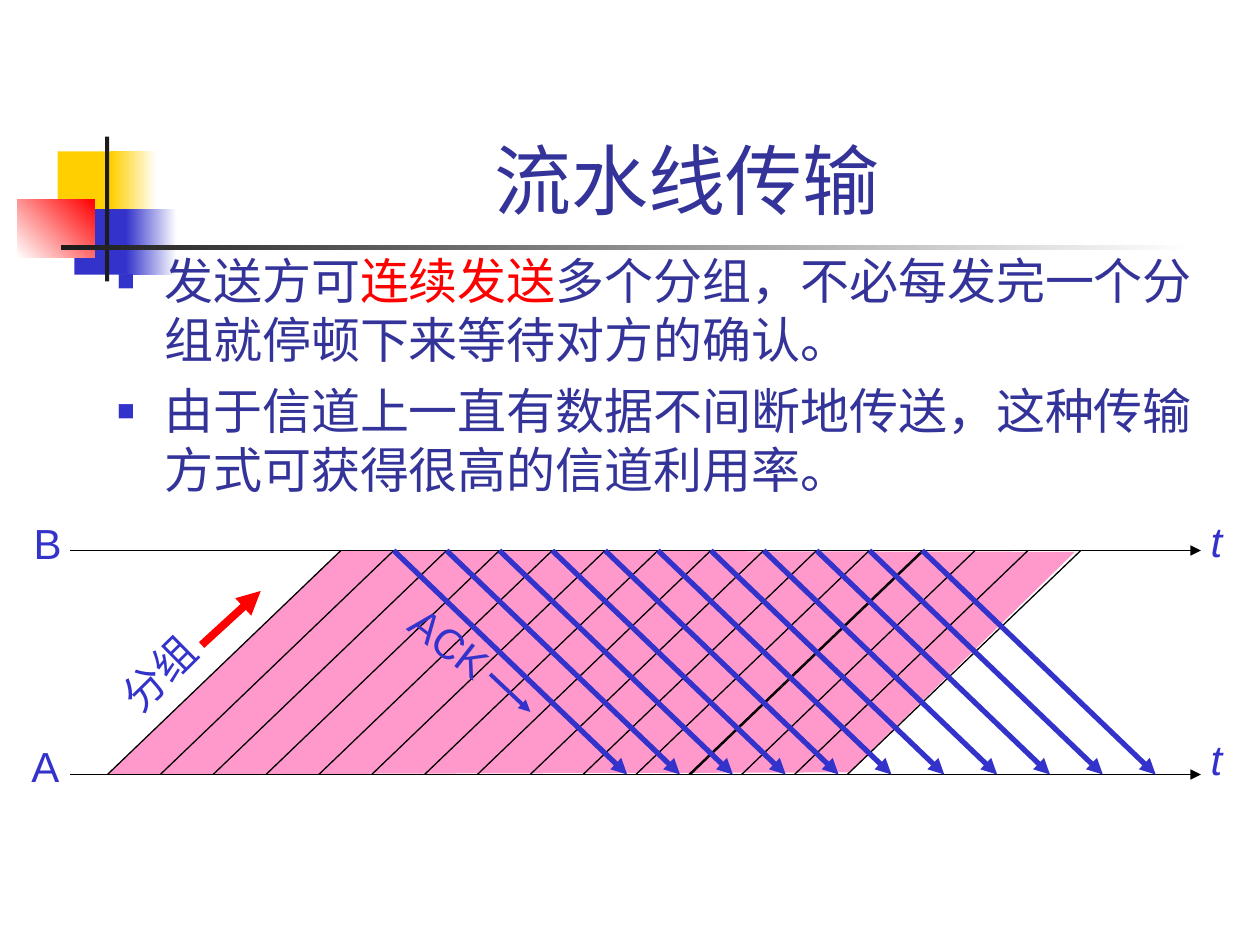
import pptx
import pptx.util
import pptx.dml.color
import pptx.enum.shapes
import pptx.enum.text
import pptx.oxml
import pptx.oxml.ns
import lxml.etree as etree

Pt = pptx.util.Pt
RGB = pptx.dml.color.RGBColor
Align = pptx.enum.text.PP_ALIGN
Anchor = pptx.enum.text.MSO_ANCHOR
qn = pptx.oxml.ns.qn

BLACK = RGB(0x00, 0x00, 0x00)
WHITE = RGB(0xFF, 0xFF, 0xFF)
INK = RGB(0x1C, 0x1C, 0x1C)
GOLD = RGB(0xFF, 0xCF, 0x01)
BLUE = RGB(0x33, 0x33, 0xCC)
NAVY = RGB(0x33, 0x33, 0x99)
RED = RGB(0xFF, 0x00, 0x00)
PINK = RGB(0xFF, 0x99, 0xCC)


class Deck:
    font = "Arial"

    def __init__(self, wide, high):
        self.deck = pptx.Presentation()
        self.deck.slide_width, self.deck.slide_height = Pt(wide), Pt(high)
        self.slide = self.deck.slides.add_slide(self.deck.slide_layouts[6])
        self.shapes = self.slide.shapes

    def rect(self, box, color, end=None, angle=0):
        kind = pptx.enum.shapes.MSO_SHAPE.RECTANGLE
        shape = self.shapes.add_shape(kind, *map(Pt, box))
        shape.shadow.inherit = False
        shape.line.fill.background()
        if end is None:
            shape.fill.solid()
            shape.fill.fore_color.rgb = color
        else:
            shape.fill.gradient()
            shape.fill.gradient_angle = angle
            for stop, tone in zip(shape.fill.gradient_stops, (color, end)):
                stop.color.rgb = tone
                stop.position = 0 if tone is color else 1

    def area(self, points, color):
        first, *rest = [(Pt(x), Pt(y)) for x, y in points]
        path = self.shapes.build_freeform(*first, scale=1.0)
        path.add_line_segments(rest, close=True)
        shape = path.convert_to_shape()
        shape.shadow.inherit = False
        shape.fill.solid()
        shape.fill.fore_color.rgb = color
        shape.line.fill.background()

    def line(self, start, stop, color=BLACK, width=0.75, arrow=False):
        kind = pptx.enum.shapes.MSO_CONNECTOR.STRAIGHT
        line = self.shapes.add_connector(kind, *map(Pt, start + stop))
        line.line.color.rgb = color
        line.line.width = Pt(width)
        props = line._element.spPr
        if arrow:
            etree.SubElement(props.find(qn("a:ln")), qn("a:tailEnd"), type="triangle")
        etree.SubElement(props, qn("a:effectLst"))

    def style(self, para, size, color, italic=None):
        para.font.name = self.font
        para.font.size = Pt(size)
        para.font.color.rgb = color
        para.font.italic = italic

    def title(self, box, text):
        frame = self.shapes.add_textbox(*map(Pt, box)).text_frame
        frame.word_wrap = True
        frame.vertical_anchor = Anchor.BOTTOM
        para = frame.paragraphs[0]
        para.text = text
        para.alignment = Align.CENTER
        self.style(para, 44, NAVY)

    def label(self, box, text, turn=0, italic=None):
        shape = self.shapes.add_textbox(*map(Pt, box))
        shape.rotation = turn
        frame = shape.text_frame
        frame.word_wrap = False
        frame.auto_size = pptx.enum.text.MSO_AUTO_SIZE.NONE
        frame.margin_left = frame.margin_right = 0
        para = frame.paragraphs[0]
        para.text = text
        para.alignment = Align.CENTER
        self.style(para, 24, BLUE, italic)

    def bullet(self, para):
        props = para._p.get_or_add_pPr()
        props.set("marL", str(Pt(27)))
        props.set("indent", str(-Pt(27)))
        tint = etree.SubElement(props, qn("a:buClr"))
        etree.SubElement(tint, qn("a:srgbClr"), val=str(BLUE))
        etree.SubElement(props, qn("a:buSzPct"), val="60000")
        etree.SubElement(props, qn("a:buFont"), typeface=self.font)
        etree.SubElement(props, qn("a:buChar"), char="■")

    def body(self, box, items):
        frame = self.shapes.add_textbox(*map(Pt, box)).text_frame
        frame.word_wrap = True
        for i, parts in enumerate(items):
            para = frame.add_paragraph() if i else frame.paragraphs[0]
            self.bullet(para)
            para.space_before = Pt(7)
            self.style(para, 28, NAVY)
            for text, color in parts:
                run = para.add_run()
                run.text = text
                if color is not None:
                    run.font.color.rgb = color

    def save(self):
        self.deck.save("out.pptx")


def main():
    deck = Deck(720, 540)

    # Corner ornament
    deck.rect((33, 86.5, 34.5, 37.5), GOLD)
    deck.rect((63.5, 86.5, 26, 37.5), GOLD, WHITE)
    deck.rect((42.5, 119.5, 33, 37.5), BLUE)
    deck.rect((72, 119.5, 29, 37.5), BLUE, WHITE)
    deck.rect((10, 113.8, 44, 33.4), WHITE, RED, 45)
    deck.rect((60, 78, 2.4, 82.8), INK)
    deck.rect((34.6, 140.2, 648, 2.4), INK, WHITE)

    # Title and points
    deck.title((90.7, 16.6, 613.4, 115.2), "流水线传输 ")
    deck.body((59.8, 139.7, 634.3, 164.2), [
        [("发送方可", None), ("连续发送", RED),
         ("多个分组，不必每发完一个分组就停顿下来等待对方的确认。", None)],
        [("由于信道上一直有数据不间断地传送，这种传输方式可获得很高的信道利用率。", None)],
    ])

    # Packet band and time axes
    top, base = 314.6, 442.6
    left, step, lean = 61.4, 30.2, 133.4
    deck.area([(left, base), (left + lean, top), (614.2, 315.4), (485.3, 441.4)], PINK)
    for y in (base, top):
        deck.line((40.3, y), (686.2, y), arrow=True)

    # Packets go up, with one edge drawn double
    for x in [left + step * i for i in range(15)] + [394.6]:
        deck.line((x, base), (x + lean, top))

    # Acknowledgements come down, from the end of the first packet
    for i in range(1, 12):
        x = left + lean + step * i
        deck.line((x, top), (x + lean, base), BLUE, 3, arrow=True)

    # Direction arrows
    deck.line((115.2, 368.6), (149, 337.7), RED, 4.5, arrow=True)
    deck.line((280.1, 385.2), (303.1, 406.8), BLUE, 2.25, arrow=True)

    # Labels
    deck.label((12.2, 292.3, 30.2, 36), "B")
    deck.label((10.8, 419.8, 30.2, 36), "A")
    for y in (290.9, 415.4):
        deck.label((684.7, y, 20.9, 36), "t", italic=True)
    deck.label((59.8, 366.5, 61.9, 36), "分组", turn=315.3)
    deck.label((225.4, 349.2, 63.4, 36), "ACK", turn=37.8)

    deck.save()


if __name__ == "__main__":
    main()
